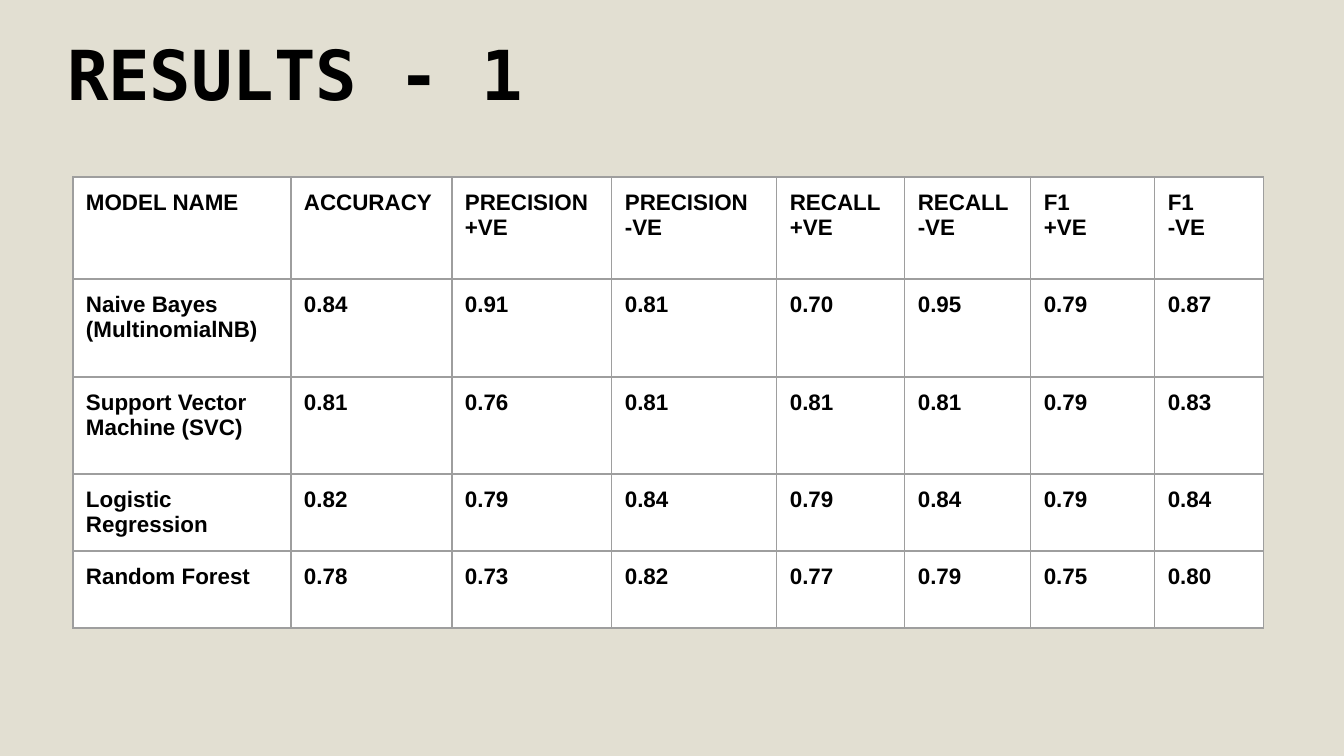
from lxml import etree
from pptx import Presentation
from pptx import util as u
from pptx.dml.color import RGBColor
from pptx.enum import text
from pptx.oxml.ns import qn

PX = u.Inches(1) / 134.4
COLORS = {"background": "E2DFD2", "ink": "000000", "cell": "FFFFFF", "grid": "9E9E9E"}
COLUMN_WIDTHS = [218, 161, 160, 165, 128, 126, 124, 109]
ROW_HEIGHTS = [102, 98, 97, 77, 77]
CELL_MARGIN = 13

# "\n" starts a paragraph, "\v" breaks a line
RESULTS = [
    ["MODEL NAME", "ACCURACY", "PRECISION +VE", "PRECISION\n-VE",
     "RECALL\n+VE", "RECALL\n-VE", "F1\v+VE", "F1\n-VE"],
    ["Naive Bayes (MultinomialNB)", "0.84", "0.91", "0.81", "0.70", "0.95", "0.79", "0.87"],
    ["Support Vector Machine (SVC)", "0.81", "0.76", "0.81", "0.81", "0.81", "0.79", "0.83"],
    ["Logistic Regression", "0.82", "0.79", "0.84", "0.79", "0.84", "0.79", "0.84"],
    ["Random Forest", "0.78", "0.73", "0.82", "0.77", "0.79", "0.75", "0.80"],
]


def px(length):
    return u.Emu(round(length * PX))


def rgb(name):
    return RGBColor.from_string(COLORS[name])


def write(frame, content, *, size, font="Arial", color="ink", bold=True, spacing=None):
    frame.text = content
    for paragraph in frame.paragraphs:
        paragraph.alignment = text.PP_ALIGN.LEFT
        paragraph.line_spacing = spacing
        for run in paragraph.runs:
            run.font.name = font
            run.font.size = u.Pt(size)
            run.font.bold = bold
            run.font.color.rgb = rgb(color)


def set_margins(target, margin):
    target.margin_left = target.margin_right = px(margin)
    target.margin_top = target.margin_bottom = px(margin)


def add_borders(cell, color, width):
    properties = cell._tc.get_or_add_tcPr()
    for index, side in enumerate(("a:lnL", "a:lnR", "a:lnT", "a:lnB")):
        line = etree.Element(qn(side), w=str(u.Pt(width)))
        fill = etree.SubElement(line, qn("a:solidFill"))
        etree.SubElement(fill, qn("a:srgbClr"), val=COLORS[color])
        properties.insert(index, line)


def add_title(slide, content):
    title = slide.shapes.title
    title.left, title.top, title.width, title.height = map(px, (54, 30, 1277, 97))
    frame = title.text_frame
    frame.auto_size = text.MSO_AUTO_SIZE.NONE
    frame.vertical_anchor = text.MSO_ANCHOR.MIDDLE
    set_margins(frame, CELL_MARGIN)
    write(frame, content, size=36.9, font="DejaVu Sans Mono", spacing=0.9)


def add_results_table(slide, left, top):
    table = slide.shapes.add_table(
        len(ROW_HEIGHTS), len(COLUMN_WIDTHS), px(left), px(top),
        px(sum(COLUMN_WIDTHS)), px(sum(ROW_HEIGHTS))).table
    table.first_row = table.horz_banding = False
    for column, width in zip(table.columns, COLUMN_WIDTHS):
        column.width = px(width)
    for row, height, values in zip(table.rows, ROW_HEIGHTS, RESULTS):
        row.height = px(height)
        for cell, value in zip(row.cells, values):
            set_margins(cell, CELL_MARGIN)
            cell.fill.solid()
            cell.fill.fore_color.rgb = rgb("cell")
            add_borders(cell, "grid", 0.75)
            write(cell.text_frame, value, size=12)


def main():
    deck = Presentation()
    deck.slide_width, deck.slide_height = px(1344), px(756)
    slide = deck.slides.add_slide(deck.slide_layouts[5])  # title only
    slide.background.fill.solid()
    slide.background.fill.fore_color.rgb = rgb("background")

    # Heading, then one row of scores per model
    add_title(slide, "RESULTS - 1")
    add_results_table(slide, 73, 177)
    deck.save("out.pptx")


if __name__ == "__main__":
    main()
